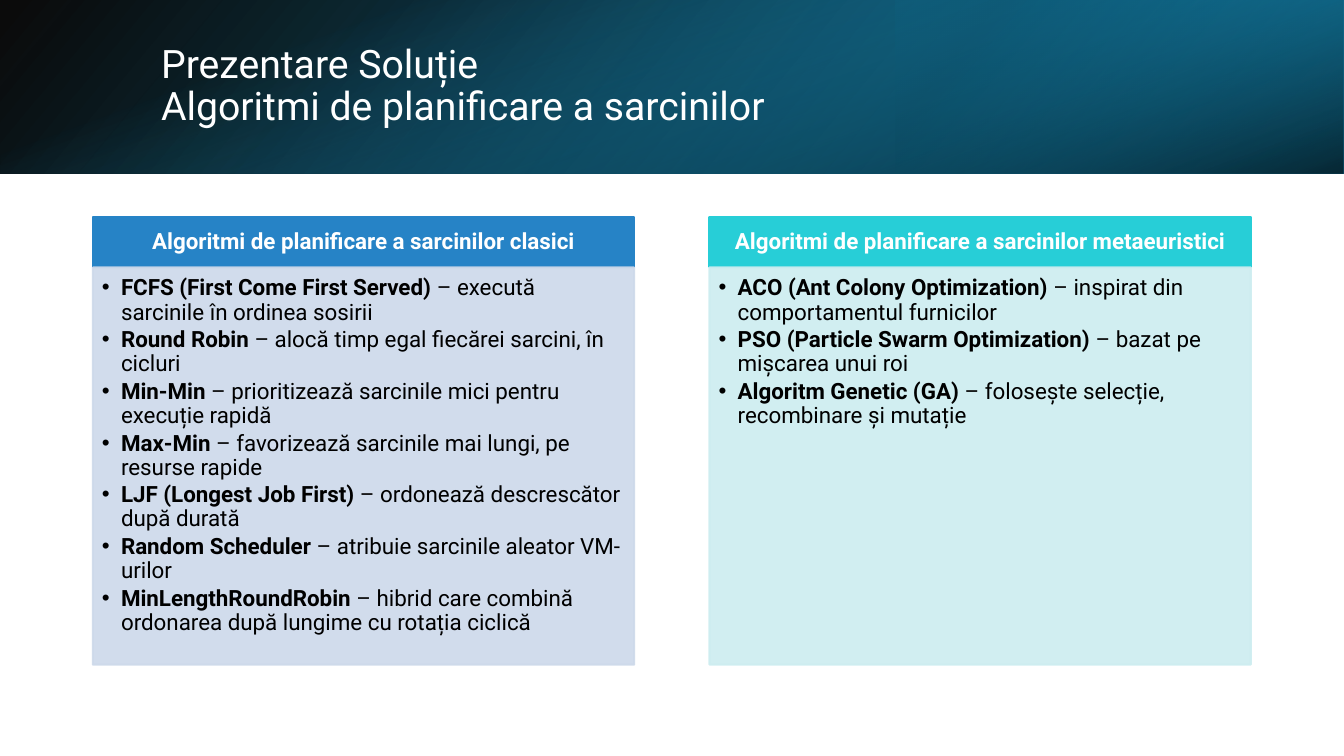
"""Build the slide that compares classic and metaheuristic scheduling algorithms."""
from lxml.etree import SubElement
from pptx import Presentation
from pptx.dml.color import RGBColor
from pptx.enum.shapes import MSO_SHAPE
from pptx.enum.text import MSO_ANCHOR, MSO_AUTO_SIZE, PP_ALIGN
from pptx.oxml import parse_xml
from pptx.oxml.ns import nsdecls, qn
from pptx.util import Cm, Pt

FONT = "Roboto"
COLORS = {
    "black": "000000", "white": "FFFFFF", "teal": "1482AC", "deep": "0E5772", "sky": "1CADE4",
    "blue": "2683C6", "pale_blue": "CDD9EA", "aqua": "27CED7", "pale_aqua": "CDEDF0",
}
TITLE = ["Prezentare Soluție", "Algoritmi de planificare a sarcinilor"]
COLUMNS = [
    ("Algoritmi de planificare a sarcinilor clasici", "blue", [
        ("FCFS (First Come First Served)", "execută sarcinile în ordinea sosirii"),
        ("Round Robin", "alocă timp egal fiecărei sarcini, în cicluri"),
        ("Min-Min", "prioritizează sarcinile mici pentru execuție rapidă"),
        ("Max-Min", "favorizează sarcinile mai lungi, pe resurse rapide"),
        ("LJF (Longest Job First)", "ordonează descrescător după durată"),
        ("Random Scheduler", "atribuie sarcinile aleator VM-urilor"),
        ("MinLengthRoundRobin", "hibrid care combină ordonarea după lungime cu rotația ciclică"),
    ]),
    ("Algoritmi de planificare a sarcinilor metaeuristici", "aqua", [
        ("ACO (Ant Colony Optimization)", "inspirat din comportamentul furnicilor"),
        ("PSO (Particle Swarm Optimization)", "bazat pe mișcarea unui roi"),
        ("Algoritm Genetic (GA)", "folosește selecție, recombinare și mutație"),
    ]),
]
WIDTH, HEIGHT, BAND = 33.87, 19.05, 4.37
BANDS = [
    ((0, 0, WIDTH, BAND), 0, True, 140, [(0, "black", 96), (100, "teal", 100)]),
    ((WIDTH - 11.29, 0, 11.29, BAND), 180, True, 320, [(19, "deep", 68), (100, "sky", 79)]),
    (((WIDTH - BAND) / 2, (BAND - WIDTH) / 2, BAND, WIDTH), 90, False, 340,
     [(23, "sky", 0), (99, "black", 74)]),
]
COL_LEFT, COL_W, COL_STEP = 2.34, 13.64, 15.54
HEAD_TOP, HEAD_H, BODY_H = 5.46, 1.28, 10.01


def add_band(s, box, rotation, flip, angle, stops):
    sp = s.shapes.add_shape(MSO_SHAPE.RECTANGLE, *map(Cm, box))
    sp.shadow.inherit = False
    sp.line.fill.background()
    sp.rotation = rotation
    xfrm = sp.element.spPr.find(qn("a:xfrm"))
    if flip:
        xfrm.set("flipH", "1")
    gs = "".join(
        f'<a:gs pos="{pos * 1000}"><a:srgbClr val="{COLORS[color]}">'
        f'<a:alpha val="{alpha * 1000}"/></a:srgbClr></a:gs>' for pos, color, alpha in stops)
    sp.element.spPr.find(qn("a:prstGeom")).addnext(parse_xml(
        f'<a:gradFill {nsdecls("a")}><a:gsLst>{gs}</a:gsLst>'
        f'<a:lin ang="{angle * 60000}" scaled="0"/></a:gradFill>'))


def place(sp, box, anchor, margins):
    sp.left, sp.top, sp.width, sp.height = map(Cm, box)
    tf = sp.text_frame
    tf.word_wrap = True
    tf.auto_size = MSO_AUTO_SIZE.NONE
    tf.vertical_anchor = anchor
    tf.margin_left, tf.margin_top, tf.margin_right, tf.margin_bottom = map(Cm, margins)
    return tf


def paint(sp, color, opacity=100):
    sp.fill.solid()
    sp.line.width = Pt(1.5)
    for fill in (sp.fill, sp.line.fill):
        fill.solid()
        fill.fore_color.rgb = RGBColor.from_string(COLORS[color])
    for clr in sp.element.spPr.iter(qn("a:srgbClr")):
        SubElement(clr, qn("a:alpha"), val=str(opacity * 1000))


def format_paragraph(p, align, after=0):
    p.alignment = align
    p.line_spacing = 0.9
    p.space_before = Pt(0)
    p.space_after = Pt(after)


def add_run(p, text, size, color, bold=False):
    r = p.add_run()
    r.text = text
    r.font.name = FONT
    r.font.size = Pt(size)
    r.font.bold = bold
    r.font.color.rgb = RGBColor.from_string(COLORS[color])


def add_bullet(p):
    pPr = p._p.get_or_add_pPr()
    pPr.set("marL", str(Cm(0.48)))
    pPr.set("indent", str(-Cm(0.48)))
    SubElement(pPr, qn("a:buChar"), char="•")


prs = Presentation()
prs.slide_width, prs.slide_height = Cm(WIDTH), Cm(HEIGHT)
s = prs.slides.add_slide(prs.slide_layouts.get_by_name("Comparison"))
title, *parts = s.placeholders

for band in BANDS:
    add_band(s, *band)

tf = place(title, (3.81, 0.97, 27.89, 2.44), MSO_ANCHOR.MIDDLE, (0.25, 0.13, 0.25, 0.13))
title.element.getparent().append(title.element)
p = tf.paragraphs[0]
format_paragraph(p, PP_ALIGN.LEFT)
for i, line in enumerate(TITLE):
    if i:
        p.add_line_break()
    add_run(p, line, 28, "white")

for i, (heading, color, items) in enumerate(COLUMNS):
    head, body = parts[2 * i:2 * i + 2]
    left = COL_LEFT + i * COL_STEP
    tf = place(head, (left, HEAD_TOP, COL_W, HEAD_H), MSO_ANCHOR.MIDDLE, (0.3, 0.17, 0.3, 0.17))
    paint(head, color)
    p = tf.paragraphs[0]
    format_paragraph(p, PP_ALIGN.CENTER)
    add_run(p, heading, 16, "white", True)

    tf = place(body, (left, HEAD_TOP + HEAD_H, COL_W, BODY_H), MSO_ANCHOR.TOP,
               (0.23, 0.23, 0.3, 0.34))
    paint(body, f"pale_{color}", 90)
    for j, (name, text) in enumerate(items):
        p = tf.add_paragraph() if j else tf.paragraphs[0]
        format_paragraph(p, PP_ALIGN.LEFT, 2.4)
        add_bullet(p)
        add_run(p, name, 16, "black", True)
        add_run(p, f" – {text}", 16, "black")

prs.save("out.pptx")
